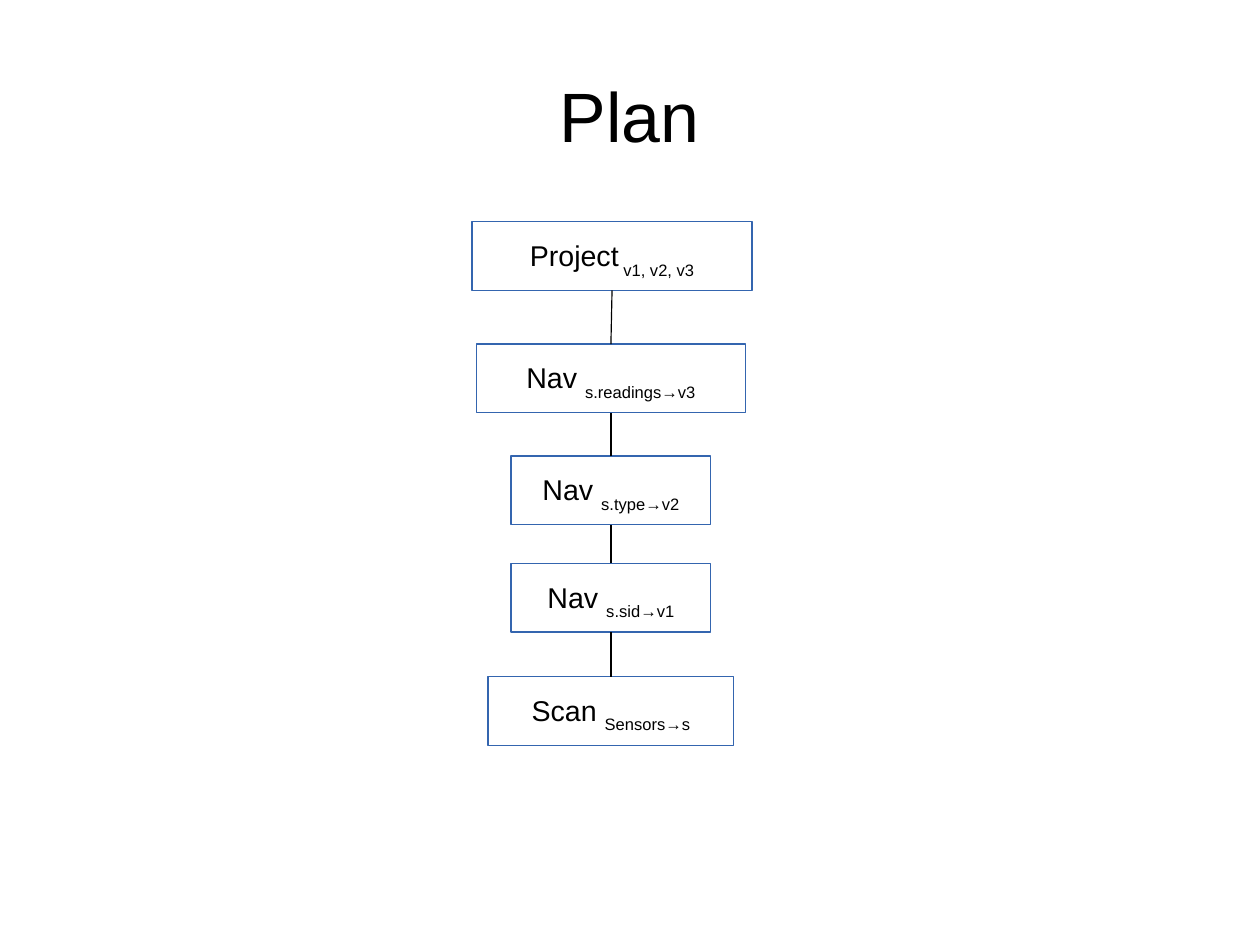
import pptx
import pptx.util
import pptx.dml.color
import pptx.enum.shapes
import pptx.enum.text
import pptx.oxml.ns
import lxml.etree

Inches = pptx.util.Inches
Pt = pptx.util.Pt

CM_PER_INCH = 2.54
PAGE_WIDTH = 28 / CM_PER_INCH
PAGE_HEIGHT = 21 / CM_PER_INCH
TITLE = "Plan"
OPERATORS = [
    ("Project", " v1, v2, v3", 4.13, 1.94, 2.45),
    ("Nav ", "s.readings→v3", 4.17, 3.01, 2.35),
    ("Nav ", "s.type→v2", 4.47, 3.99, 1.75),
    ("Nav ", "s.sid→v1", 4.47, 4.93, 1.75),
    ("Scan ", "Sensors→s", 4.27, 5.92, 2.15),
]
BOX_HEIGHT = 0.6
BLACK, WHITE, BLUE = "000000", "FFFFFF", "3465AF"


def color(value):
    return pptx.dml.color.RGBColor.from_string(value)


def write(frame, parts, size, margins, wrap):
    frame.word_wrap = wrap
    frame.vertical_anchor = pptx.enum.text.MSO_ANCHOR.MIDDLE
    (frame.margin_left, frame.margin_top,
     frame.margin_right, frame.margin_bottom) = map(Inches, margins)
    para = frame.paragraphs[0]
    para.alignment = pptx.enum.text.PP_ALIGN.CENTER
    para.line_spacing = 0.93
    for text, baseline in parts:
        span = para.add_run()
        span.text = text
        span.font.name = "Arial"
        span.font.size = Pt(size)
        span.font.color.rgb = color(BLACK)
        if baseline:
            span.font._element.set("baseline", str(baseline * 1000))


def add_operator(page, name, subscript, left, top, width):
    box = page.shapes.add_shape(
        pptx.enum.shapes.MSO_SHAPE.RECTANGLE,
        Inches(left), Inches(top), Inches(width), Inches(BOX_HEIGHT))
    box.shadow.inherit = False
    box.fill.solid()
    box.fill.fore_color.rgb = color(WHITE)
    box.line.color.rgb = color(BLUE)
    box.line.width = Pt(0.75)
    write(box.text_frame, [(name, 0), (subscript, -33)], 18,
          (0.1, 0.07, 0.1, 0.05), False)
    return box


def join(page, lower, upper):
    link = page.shapes.add_connector(
        pptx.enum.shapes.MSO_CONNECTOR.STRAIGHT, 0, 0, 0, 0)
    link.begin_connect(lower, 0)
    link.end_connect(upper, 2)
    link.line.color.rgb = color(BLACK)
    link.line.width = Pt(0.75)
    lxml.etree.SubElement(link._element.spPr, pptx.oxml.ns.qn("a:effectLst"))


def main():
    deck = pptx.Presentation()
    deck.slide_width = Inches(PAGE_WIDTH)
    deck.slide_height = Inches(PAGE_HEIGHT)
    page = deck.slides.add_slide(deck.slide_layouts[6])

    title = page.shapes.add_textbox(
        Inches(0.55), Inches(0.33), Inches(9.92), Inches(1.38))
    write(title.text_frame, [(TITLE, 0)], 44, (0, 0.04, 0, 0), True)

    boxes = [add_operator(page, *operator) for operator in OPERATORS]
    for upper, lower in zip(boxes, boxes[1:]):
        join(page, lower, upper)

    deck.save("out.pptx")


if __name__ == "__main__":
    main()
